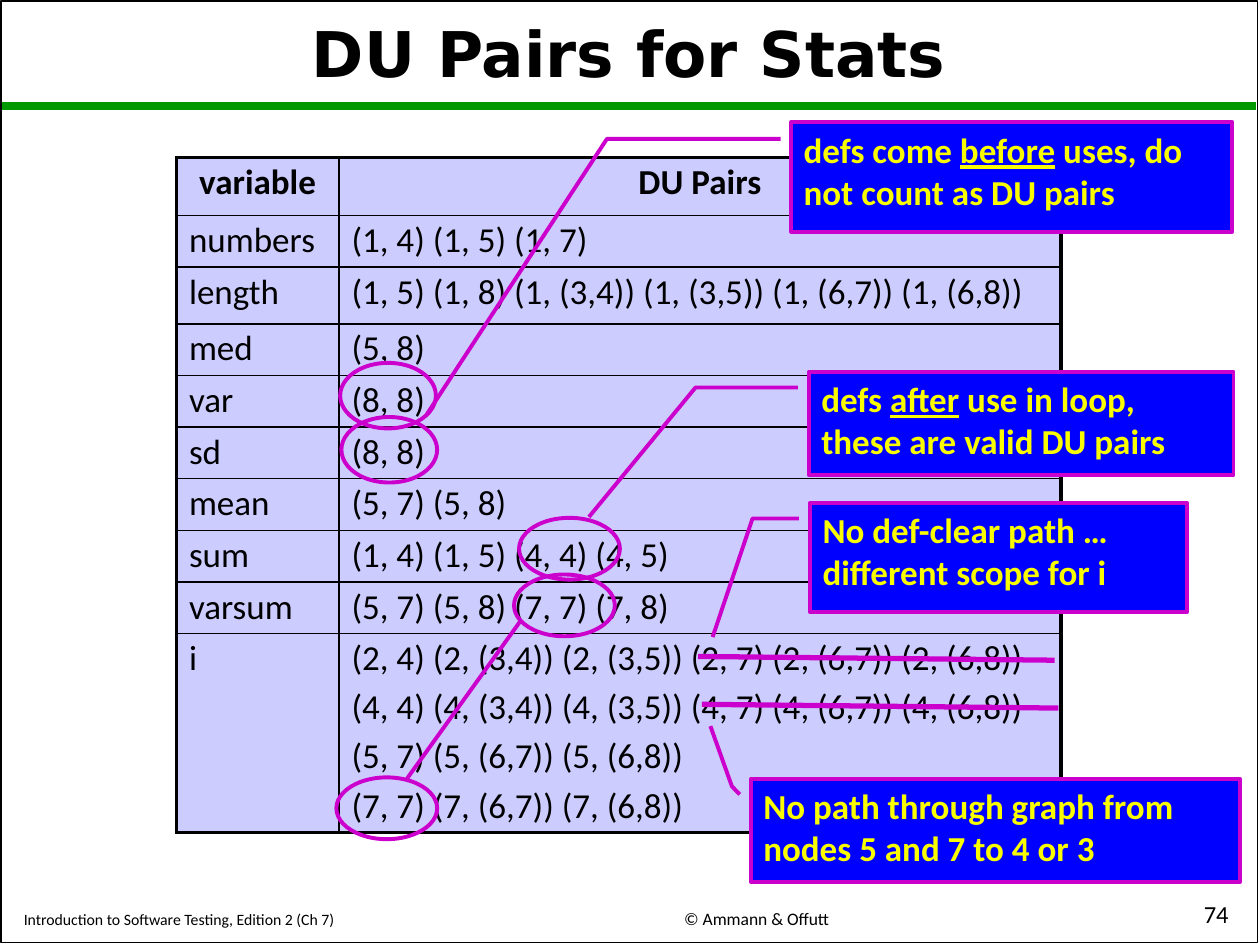
import pptx
import pptx.dml.color
import pptx.enum.shapes
import pptx.enum.text
import pptx.oxml
import pptx.oxml.ns
import pptx.util

COLORS = {"black": "000000", "green": "009900", "lavender": "CCCCFF",
          "magenta": "CC00CC", "blue": "0000FF", "yellow": "FAFD00"}
RGB = {name: pptx.dml.color.RGBColor.from_string(code) for name, code in COLORS.items()}
SHAPES = pptx.enum.shapes.MSO_SHAPE
ALIGN = pptx.enum.text.PP_ALIGN
ANCHOR = pptx.enum.text.MSO_ANCHOR

presentation = pptx.Presentation()
presentation.slide_width = pptx.util.Inches(10)
presentation.slide_height = pptx.util.Inches(7.5)
slide = presentation.slides.add_slide(presentation.slide_layouts[5])

# The slide is a grid of 100 columns by 75 rows of square units
UNIT = presentation.slide_width / 100


def grid(*values):
    return [round(value * UNIT) for value in values]


def format_font(paragraph, size, color="black", bold=False, name="Calibri"):
    paragraph.font.name = name
    paragraph.font.size = pptx.util.Pt(size)
    paragraph.font.bold = bold
    paragraph.font.color.rgb = RGB[color]


# Title
title = slide.shapes.title
title.left, title.top, title.width, title.height = grid(0.9, 1.1, 98, 6.9)
title.text_frame.text = "DU Pairs for Stats"
title.text_frame.vertical_anchor = ANCHOR.MIDDLE
paragraph = title.text_frame.paragraphs[0]
paragraph.alignment = ALIGN.CENTER
paragraph.line_spacing = 0.9
format_font(paragraph, 36, bold=True, name="DejaVu Sans")

# Footer: text, place, size, alignment
footers = [
    ("Introduction to Software Testing, Edition 2 (Ch 7)", (0.9, 71.2, 41.2, 3), 9, ALIGN.LEFT),
    ("© Ammann & Offutt", (44.2, 71.1, 31.7, 3.1), 10, ALIGN.CENTER),
    ("74", (78.9, 71, 19.6, 3.2), 14, ALIGN.RIGHT),
]
for text, place, size, alignment in footers:
    frame = slide.shapes.add_textbox(*grid(*place)).text_frame
    frame.word_wrap = True
    frame.vertical_anchor = ANCHOR.BOTTOM
    frame.text = text
    frame.paragraphs[0].alignment = alignment
    format_font(frame.paragraphs[0], size)

# Table of DU pairs
rows = [
    ("variable", "DU Pairs"),
    ("numbers", "(1, 4) (1, 5) (1, 7)"),
    ("length", "(1, 5) (1, 8) (1, (3,4)) (1, (3,5)) (1, (6,7)) (1, (6,8))"),
    ("med", "(5, 8)"),
    ("var", "(8, 8)"),
    ("sd", "(8, 8)"),
    ("mean", "(5, 7) (5, 8)"),
    ("sum", "(1, 4) (1, 5) (4, 4) (4, 5)"),
    ("varsum", "(5, 7) (5, 8) (7, 7) (7, 8)"),
    ("i", "(2, 4) (2, (3,4)) (2, (3,5)) (2, 7) (2, (6,7)) (2, (6,8))\n"
          "(4, 4) (4, (3,4)) (4, (3,5)) (4, 7) (4, (6,7)) (4, (6,8))\n"
          "(5, 7) (5, (6,7)) (5, (6,8))\n"
          "(7, 7) (7, (6,7)) (7, (6,8))"),
]
column_widths = [12.9, 57.3]
row_heights = [4.6, 4.1, 4.5] + [4.1] * 6 + [15.8]
table = slide.shapes.add_table(
    len(rows), 2, *grid(14, 12.5, sum(column_widths), sum(row_heights))).table
for column, width in zip(table.columns, grid(*column_widths)):
    column.width = width
for row, height in zip(table.rows, grid(*row_heights)):
    row.height = height

for row_index, texts in enumerate(rows):
    for column_index, text in enumerate(texts):
        cell = table.cell(row_index, column_index)
        cell.text = text
        for index, paragraph in enumerate(cell.text_frame.paragraphs):
            paragraph.alignment = ALIGN.CENTER if row_index == 0 else ALIGN.LEFT
            paragraph.line_spacing = 0.9
            if index:
                paragraph.space_before = pptx.util.Pt(6)
            format_font(paragraph, 20, bold=row_index == 0)
        # Thick borders on the outer edge, thin ones inside
        outer = {"L": column_index == 0, "R": column_index == 1,
                 "T": row_index == 0, "B": row_index == len(rows) - 1}
        for side, is_outer in outer.items():
            width = pptx.util.Pt(2.25 if is_outer else 1)
            cell._tc.get_or_add_tcPr().append(pptx.oxml.parse_xml(
                f'<a:ln{side} {pptx.oxml.ns.nsdecls("a")} w="{width}"><a:solidFill>'
                f'<a:srgbClr val="{COLORS["black"]}"/></a:solidFill></a:ln{side}>'))
        cell.fill.solid()
        cell.fill.fore_color.rgb = RGB["lavender"]

# Title rule, strike-through lines and the link between two circles
lines = [
    ((0, 8.4, 99.7, 8.4), "green", 4.5),
    ((55.4, 52.1, 83.7, 52.4), "magenta", 3),
    ((55.7, 55.9, 84, 56.2), "magenta", 3),
    ((32.3, 61.8, 41.3, 49.3), "magenta", 2.25),
]
for ends, color, width in lines:
    connector = slide.shapes.add_connector(
        pptx.enum.shapes.MSO_CONNECTOR.STRAIGHT, *grid(*ends))
    connector.line.color.rgb = RGB[color]
    connector.line.width = pptx.util.Pt(width)
    connector._element.spPr.append(
        pptx.oxml.parse_xml(f'<a:effectLst {pptx.oxml.ns.nsdecls("a")}/>'))

# Slide frame and circles around the discussed pairs
outlines = [
    (SHAPES.RECTANGLE, (0.1, 0.1, 99.7, 74.7), "black", 1),
    (SHAPES.OVAL, (27.1, 33.1, 7.6, 5.2), "magenta", 2.25),
    (SHAPES.OVAL, (27, 28.8, 7.6, 5.2), "magenta", 2.25),
    (SHAPES.OVAL, (41.2, 41.1, 8, 4.9), "magenta", 2.25),
    (SHAPES.OVAL, (26.7, 61.7, 8, 4.9), "magenta", 2.25),
    (SHAPES.OVAL, (40.8, 45.6, 8, 4.9), "magenta", 2.25),
]
for kind, place, color, width in outlines:
    shape = slide.shapes.add_shape(kind, *grid(*place))
    shape.shadow.inherit = False
    shape.fill.background()
    shape.line.color.rgb = RGB[color]
    shape.line.width = pptx.util.Pt(width)

# Callouts: place, leader points (y, x as shares of the box), paragraphs of runs;
# every second run is underlined
callouts = [
    ((64.3, 39.9, 29.9, 8.7), (0.144, -0.03, 0.144, -0.153, 1.226, -0.259),
     [["No def-clear path …"], ["different scope for i"]]),
    ((59.6, 61.8, 38.8, 8.2), (0.153, -0.023, 0.074, -0.039, -0.509, -0.083),
     [["No path through graph from nodes 5 and 7 to 4 or 3"]]),
    ((62.8, 9.7, 35, 8.7), (0.153, -0.024, 0.153, -0.418, 2.675, -0.828),
     [["defs come ", "before", " uses, do not count as DU pairs"]]),
    ((64.2, 29.5, 33.7, 8.2), (0.153, -0.026, 0.153, -0.267, 1.406, -0.518),
     [["defs ", "after", " use in loop, these are valid DU pairs"]]),
]
for place, leader, paragraphs in callouts:
    callout = slide.shapes.add_shape(SHAPES.LINE_CALLOUT_2, *grid(*place))
    for index, share in enumerate(leader):
        callout.adjustments[index] = share
    callout.shadow.inherit = False
    callout.fill.solid()
    callout.fill.fore_color.rgb = RGB["blue"]
    callout.line.color.rgb = RGB["magenta"]
    callout.line.width = pptx.util.Pt(2.25)
    frame = callout.text_frame
    frame.word_wrap = True
    frame.vertical_anchor = ANCHOR.TOP
    for index, runs in enumerate(paragraphs):
        paragraph = frame.add_paragraph() if index else frame.paragraphs[0]
        paragraph.alignment = ALIGN.LEFT
        format_font(paragraph, 20, "yellow", bold=True)
        for run_index, text in enumerate(runs):
            run = paragraph.add_run()
            run.text = text
            if run_index % 2:
                run.font.underline = True

presentation.save("out.pptx")
